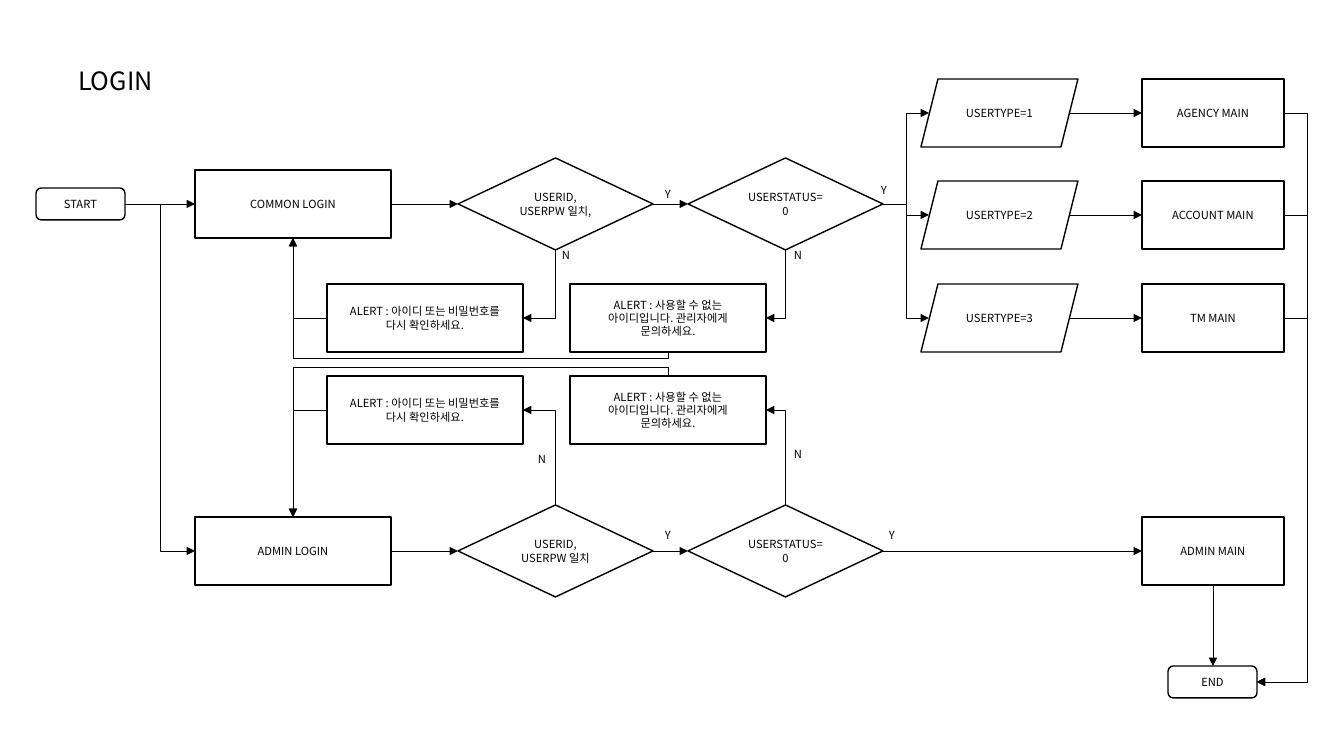
from lxml.etree import SubElement
from pptx import Presentation
from pptx.dml.color import RGBColor
from pptx.enum.shapes import MSO_CONNECTOR, MSO_SHAPE
from pptx.enum.text import MSO_ANCHOR, MSO_AUTO_SIZE, PP_ALIGN
from pptx.oxml.ns import qn
from pptx.util import Emu, Pt

BLACK = RGBColor(0, 0, 0)
FONT = "Noto Sans CJK KR"
SLIDE_W, SLIDE_H = 1344, 756
SCALE = 12192000 / SLIDE_W

BOX_H, DIAMOND_H, PILL_H = 68, 92, 32
STEP_W, CHECK_W, MAIN_W, TYPE_W, PILL_W = 196, 195, 142, 157, 89
INSET, ALERT_INSET = 10, 18
LOGIN_X, ID_X, STATUS_X = 195, 458, 688
ALERT_XS = (327, 570)
TYPE_X, MAIN_X = 921, 1142
START_X, END_X = 36, 1168
COMMON_Y, ADMIN_Y, END_Y = 204, 551, 682
TYPE_YS = [113 + 205 * i // 2 for i in range(3)]
ALERTS = (
    "ALERT : 아이디 또는 비밀번호를 다시 확인하세요.",
    "ALERT : 사용할 수 없는 아이디입니다. 관리자에게 문의하세요.",
)
MAINS = ("AGENCY MAIN", "ACCOUNT MAIN", "TM MAIN")
LABELS = [
    ("Y", 871, 178), ("Y", 655, 182), ("Y", 655, 523), ("Y", 879, 523),
    ("N", 552, 243), ("N", 784, 243), ("N", 528, 447), ("N", 784, 442),
]


def px(n):
    return Emu(round(n * SCALE))


def write(tf, text, size, align):
    p = tf.paragraphs[0]
    p.alignment = align
    r = p.add_run()
    r.text = text
    r.font.name = FONT
    r.font.size = Pt(size)
    r.font.color.rgb = BLACK
    SubElement(r.font._element, qn("a:ea")).set("typeface", FONT)


def add_title(s, text):
    sp = s.shapes.title
    sp.left, sp.top, sp.width, sp.height = px(68), px(60), px(96), px(40)
    tf = sp.text_frame
    tf.word_wrap = False
    tf.auto_size = MSO_AUTO_SIZE.SHAPE_TO_FIT_TEXT
    tf.vertical_anchor = MSO_ANCHOR.TOP
    write(tf, text, 18, PP_ALIGN.LEFT)


def add_label(s, text, x, y):
    tf = s.shapes.add_textbox(px(x), px(y), px(28), px(24)).text_frame
    tf.word_wrap = False
    tf.auto_size = MSO_AUTO_SIZE.SHAPE_TO_FIT_TEXT
    write(tf, text, 8, PP_ALIGN.LEFT)


def add_node(s, kind, text, x, mid, w, h=BOX_H, inset=INSET):
    sp = s.shapes.add_shape(kind, px(x), px(mid - h / 2), px(w), px(h))
    sp.shadow.inherit = False
    sp.fill.background()
    sp.line.color.rgb = BLACK
    sp.line.width = Pt(1)
    tf = sp.text_frame
    tf.word_wrap = True
    tf.margin_left = tf.margin_right = px(inset)
    tf.vertical_anchor = MSO_ANCHOR.MIDDLE
    write(tf, text, 8, PP_ALIGN.CENTER)


def add_arrow(s, x1, y1, x2, y2, kind=MSO_CONNECTOR.STRAIGHT):
    sp = s.shapes.add_connector(kind, px(x1), px(y1), px(x2), px(y2))
    sp.line.color.rgb = BLACK
    sp.line.width = Pt(0.5)
    ln = sp._element.spPr.find(qn("a:ln"))
    SubElement(ln, qn("a:tailEnd")).set("type", "triangle")
    SubElement(sp._element.spPr, qn("a:effectLst"))
    return sp


def add_elbow(s, x1, y1, x2, y2, bend=None, vertical=False):
    start, end = (y1, y2) if vertical else (x1, x2)
    if vertical:
        cx, cy = (x1 + x2) / 2, (y1 + y2) / 2
        dx, dy = (x2 - x1) / 2, (y2 - y1) / 2
        x1, y1, x2, y2 = cx - dy, cy + dx, cx + dy, cy - dx
    sp = add_arrow(s, x1, y1, x2, y2, MSO_CONNECTOR.ELBOW)
    spPr = sp._element.spPr
    if vertical:
        spPr.find(qn("a:xfrm")).set("rot", "5400000")
    geom = spPr.find(qn("a:prstGeom"))
    if bend is None:
        geom.set("prst", "bentConnector2")
    else:
        gd = SubElement(geom.find(qn("a:avLst")), qn("a:gd"))
        gd.set("name", "adj1")
        gd.set("fmla", f"val {round((bend - start) / (end - start) * 100000)}")


def add_lane(s, login, check, mid, alert_mid, bend):
    side = 1 if alert_mid > mid else -1
    login_mid = LOGIN_X + STEP_W // 2
    login_edge = mid + side * BOX_H // 2
    add_node(s, MSO_SHAPE.RECTANGLE, login, LOGIN_X, mid, STEP_W)
    add_arrow(s, LOGIN_X + STEP_W, mid, ID_X, mid)
    add_arrow(s, ID_X + CHECK_W, mid, STATUS_X, mid)
    for x, text, alert_x, alert in zip(
        (ID_X, STATUS_X), (check, "USERSTATUS=0"), ALERT_XS, ALERTS
    ):
        add_node(s, MSO_SHAPE.DIAMOND, text, x, mid, CHECK_W, DIAMOND_H)
        add_node(s, MSO_SHAPE.RECTANGLE, alert, alert_x, alert_mid, STEP_W,
                 inset=ALERT_INSET)
        add_elbow(s, x + CHECK_W / 2, mid + side * DIAMOND_H // 2,
                  alert_x + STEP_W, alert_mid, vertical=True)
    add_elbow(s, ALERT_XS[0], alert_mid, login_mid, login_edge)
    add_elbow(s, ALERT_XS[1] + STEP_W // 2, alert_mid + side * BOX_H // 2,
              login_mid, login_edge, bend, vertical=True)


def add_user_types(s):
    status_right = STATUS_X + CHECK_W
    slant = BOX_H // 8
    for i, (y, main_text) in enumerate(zip(TYPE_YS, MAINS), 1):
        add_node(s, MSO_SHAPE.PARALLELOGRAM, f"USERTYPE={i}", TYPE_X, y, TYPE_W)
        add_node(s, MSO_SHAPE.RECTANGLE, main_text, MAIN_X, y, MAIN_W)
        add_elbow(s, status_right, COMMON_Y, TYPE_X + slant, y, 906)
        add_arrow(s, TYPE_X + TYPE_W - slant, y, MAIN_X, y)
        add_elbow(s, MAIN_X + MAIN_W, y, END_X + PILL_W, END_Y, 1308)


def main():
    prs = Presentation()
    prs.slide_width, prs.slide_height = px(SLIDE_W), px(SLIDE_H)
    s = prs.slides.add_slide(prs.slide_layouts[5])
    add_title(s, "LOGIN")

    add_lane(s, "COMMON LOGIN", "USERID, USERPW 일치,", COMMON_Y, 318, 358)
    add_lane(s, "ADMIN LOGIN", "USERID, USERPW 일치", ADMIN_Y, 410, 367)
    add_user_types(s)

    for text, x, y in (("START", START_X, COMMON_Y), ("END", END_X, END_Y)):
        add_node(s, MSO_SHAPE.ROUNDED_RECTANGLE, text, x, y, PILL_W, PILL_H)
    start_right = START_X + PILL_W
    add_arrow(s, start_right, COMMON_Y, LOGIN_X, COMMON_Y)
    add_elbow(s, start_right, COMMON_Y, LOGIN_X, ADMIN_Y, 160)

    add_node(s, MSO_SHAPE.RECTANGLE, "ADMIN MAIN", MAIN_X, ADMIN_Y, MAIN_W)
    add_arrow(s, STATUS_X + CHECK_W, ADMIN_Y, MAIN_X, ADMIN_Y)
    main_mid = MAIN_X + MAIN_W // 2
    add_arrow(s, main_mid, ADMIN_Y + BOX_H // 2, main_mid, END_Y - PILL_H // 2)

    for label in LABELS:
        add_label(s, *label)
    prs.save("out.pptx")


if __name__ == "__main__":
    main()
